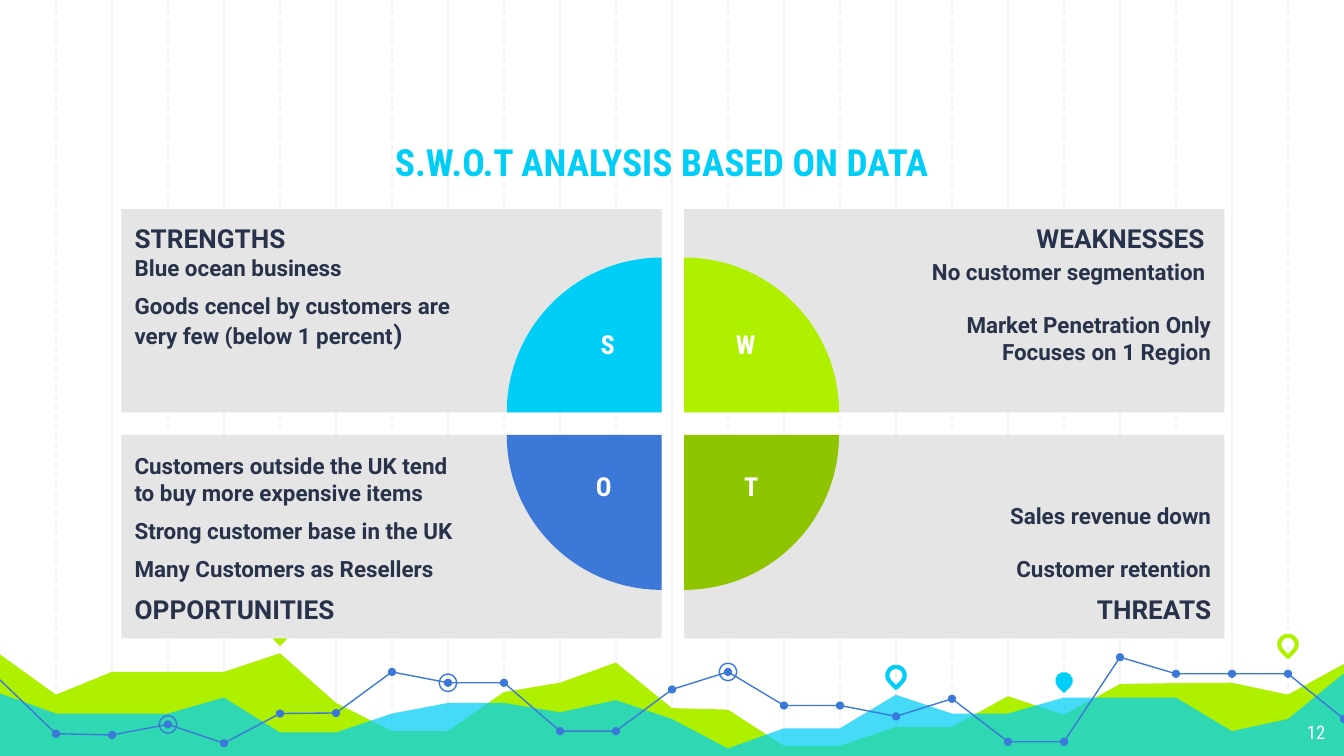
from pptx import Presentation
from pptx.dml.color import RGBColor
from pptx.enum import dml, shapes, text
from pptx.oxml.ns import qn
from pptx.util import Pt
from lxml import etree

CYAN, LIME, GREEN, BLUE = "00CEF6", "AFF000", "8EC400", "3C78D8"
INK, PANEL, GRID, WHITE = "28324A", "E5E5E5", "F3F3F3", "FFFFFF"
WIDTH, HEIGHT, STEP = 720, 405, 30

# Heights of the skyline, one value every STEP points
LIME_HILLS = [350.6, 372.2, 360, 360, 360, 350, 376.6, 391.7, 391.7, 370.8, 365.8, 355, 379.4,
              380.2, 399.6, 399.6, 389.5, 389.5, 373, 383, 366.5, 366, 365.8, 372.2, 355.7]
CYAN_HILLS = [371.5, 382.3, 382.3, 382.3, 373.7, 392.4, 392.4, 382.3, 376.6, 376.6, 381.6, 375.1,
              385.2, 401, 390.2, 390.2, 372.2, 382.3, 382.3, 373.7, 373.7, 373.7, 391.7, 385.2, 360.7]
TREND = [364.3, 393.1, 393.8, 388.1, 398.2, 382.3, 382, 360, 365.8, 365.8, 391.7, 391.7, 369.4,
         360, 378, 378, 383.8, 374.4, 397.4, 397.4, 352.1, 361, 361, 361, 385.2]
TREND_BREAKS = [0, 11, 20, 24]
RINGED = [3, 8, 13]
# column, centre height, colour, filled
PINS = [(5, 339.5, LIME, True), (16, 361.8, CYAN, False),
        (19, 364.7, CYAN, True), (23, 345.2, LIME, False)]

# Paragraphs are (runs, space before, space after); runs are (text, size)
QUADRANTS = [
    dict(letter="S", color=CYAN, col=0, row=0, turn=0, shift=(-29, -31), paragraphs=[
        ([("STRENGTHS", 14)], 0, 0),
        ([("Blue ocean business", 12)], 0, 0),
        ([("Goods cencel by customers are very few (below 1 percent", 12), (")", 14)], 6, 6)]),
    dict(letter="W", color=LIME, col=1, row=0, turn=90, shift=(33, -31), paragraphs=[
        ([("WEAKNESSES ", 14)], 0, 0),
        ([("No customer segmentation ", 12)], 2, 0),
        ([("Market Penetration Only Focuses on 1 Region", 12)], 14.5, 0)]),
    dict(letter="T", color=GREEN, col=1, row=1, turn=180, shift=(36, 33), paragraphs=[
        ([("Sales revenue down", 12)], 0, 0),
        ([("Customer retention", 12)], 14, 0),
        ([("THREATS", 14)], 6, 6)]),
    dict(letter="O", color=BLUE, col=0, row=1, turn=270, shift=(-31, 33), paragraphs=[
        ([("Customers outside the UK tend to buy more expensive items", 12)], 0, 0),
        ([("Strong customer base in the UK", 12)], 6, 0),
        ([("Many Customers as Resellers", 12)], 6, 0),
        ([("OPPORTUNITIES", 14)], 6, 6)]),
]


def rgb(value):
    return RGBColor.from_string(value)


def paint(shape, fill=None, line=None, weight=0.75):
    shape.shadow.inherit = False
    if fill:
        shape.fill.solid()
        shape.fill.fore_color.rgb = rgb(fill)
    else:
        shape.fill.background()
    if line:
        shape.line.color.rgb = rgb(line)
        shape.line.width = Pt(weight)
    else:
        shape.line.fill.background()
    return shape


def add_shape(slide, kind, left, top, width, height, **style):
    shape = slide.shapes.add_shape(kind, Pt(left), Pt(top), Pt(width), Pt(height))
    return paint(shape, **style)


def add_centred(slide, kind, x, y, size, **style):
    return add_shape(slide, kind, x - size / 2, y - size / 2, size, size, **style)


def write(shape, paragraphs, font="Roboto", color=INK, bold=True, align="LEFT",
          anchor="TOP", insets=(7.2, 7.2, 7.2, 7.2), wrap=True):
    """Fill a shape with paragraphs; insets run left, top, right, bottom."""
    frame = shape.text_frame
    frame.word_wrap = wrap
    frame.vertical_anchor = text.MSO_ANCHOR[anchor]
    (frame.margin_left, frame.margin_top,
     frame.margin_right, frame.margin_bottom) = map(Pt, insets)
    for index, (runs, before, after) in enumerate(paragraphs):
        paragraph = frame.add_paragraph() if index else frame.paragraphs[0]
        paragraph.alignment = text.PP_ALIGN[align]
        paragraph.space_before, paragraph.space_after = Pt(before), Pt(after)
        for words, size in runs:
            run = paragraph.add_run()
            run.text = words
            run.font.name, run.font.size, run.font.bold = font, Pt(size), bold
            run.font.color.rgb = rgb(color)


def add_label(slide, words, size, left, top, width, height, **style):
    box = slide.shapes.add_textbox(Pt(left), Pt(top), Pt(width), Pt(height))
    write(box, [([(words, size)], 0, 0)], font="Roboto Condensed", **style)


def add_outline(slide, points, close, **style):
    points = [(Pt(x), Pt(y)) for x, y in points]
    builder = slide.shapes.build_freeform(*points[0], scale=1.0)
    builder.add_line_segments(points[1:], close=close)
    return paint(builder.convert_to_shape(), **style)


def add_grid(slide, width, height):
    for first, dash in ((2, None), (1, dml.MSO_LINE.DASH)):
        for x in range(first * STEP, width, 2 * STEP):
            rule = slide.shapes.add_connector(
                shapes.MSO_CONNECTOR.STRAIGHT, Pt(x), Pt(0), Pt(x), Pt(height))
            rule.line.color.rgb = rgb(GRID)
            rule.line.width = Pt(0.75)
            if dash:
                rule.line.dash_style = dash
            etree.SubElement(rule._element.spPr, qn("a:effectLst"))


def add_hills(slide, heights, bottom, color, opacity=None):
    ridge = [(i * STEP, y) for i, y in enumerate(heights)]
    base = [(ridge[-1][0], bottom), (0, bottom)]
    hills = add_outline(slide, ridge + base, True, fill=color)
    if opacity:
        tint = hills._element.spPr.find(qn("a:solidFill"))[0]
        etree.SubElement(tint, qn("a:alpha")).set("val", str(opacity * 1000))


def add_pin(slide, column, y, color, filled):
    style = dict(fill=color) if filled else dict(line=color, weight=2.25)
    pin = add_centred(slide, shapes.MSO_SHAPE.TEAR, column * STEP, y, 9.4, **style)
    pin.rotation = 135


def add_trend(slide, heights):
    points = [(i * STEP, y) for i, y in enumerate(heights)]
    for start, end in zip(TREND_BREAKS, TREND_BREAKS[1:]):
        add_outline(slide, points[start:end + 1], False, line=BLUE)
    for x, y in points[1:]:
        add_centred(slide, shapes.MSO_SHAPE.OVAL, x, y, 4.4, fill=BLUE)
    for column in RINGED:
        add_centred(slide, shapes.MSO_SHAPE.OVAL, *points[column], 9.4, line=BLUE)


def add_swot(slide, left, top, width, height, gap=12, radius=83):
    """Four panels, each with a quarter disc centred on its inner corner."""
    panel_w, panel_h = (width - gap) / 2, (height - gap) / 2
    for q in QUADRANTS:
        right, low = q["col"] == 1, q["row"] == 1
        panel = add_shape(slide, shapes.MSO_SHAPE.RECTANGLE,
                          left + q["col"] * (panel_w + gap), top + q["row"] * (panel_h + gap),
                          panel_w, panel_h, fill=PANEL)
        write(panel, q["paragraphs"], align="RIGHT" if right else "LEFT",
              anchor="BOTTOM" if low else "TOP",
              insets=(108, 7.2, 7.2, 7.2) if right else (7.2, 7.2, 108, 7.2))
    corners = [(left + panel_w + q["col"] * gap, top + panel_h + q["row"] * gap)
               for q in QUADRANTS]
    for q, (x, y) in zip(QUADRANTS, corners):
        pie = add_centred(slide, shapes.MSO_SHAPE.PIE, x, y, 2 * radius, fill=q["color"])
        pie.adjustments[0], pie.adjustments[1] = 108, 162
        pie.rotation = q["turn"]
    for q, (x, y) in zip(QUADRANTS, corners):
        dx, dy = q["shift"]
        add_label(slide, q["letter"], 14, x + dx - 12, y + dy - 17.5, 24, 35, color=WHITE,
                  align="CENTER", insets=(0, 3.6, 0, 3.6), wrap=False)


def main():
    deck = Presentation()
    deck.slide_width, deck.slide_height = Pt(WIDTH), Pt(HEIGHT)
    slide = deck.slides.add_slide(deck.slide_layouts[6])
    add_grid(slide, WIDTH, HEIGHT + 2)
    add_hills(slide, LIME_HILLS, HEIGHT + 1, LIME)
    add_hills(slide, CYAN_HILLS, HEIGHT + 2, CYAN, opacity=73)
    for pin in PINS:
        add_pin(slide, *pin)
    add_trend(slide, TREND)
    add_label(slide, "S.W.O.T ANALYSIS BASED ON DATA", 20, 79, 50, 551, 56,
              color=CYAN, align="CENTER", anchor="BOTTOM")
    add_label(slide, "12", 10, 674, 380, 43, 25, color=WHITE, bold=False, align="RIGHT")
    add_swot(slide, 65, 112, 591, 230)
    deck.save("out.pptx")


if __name__ == "__main__":
    main()
